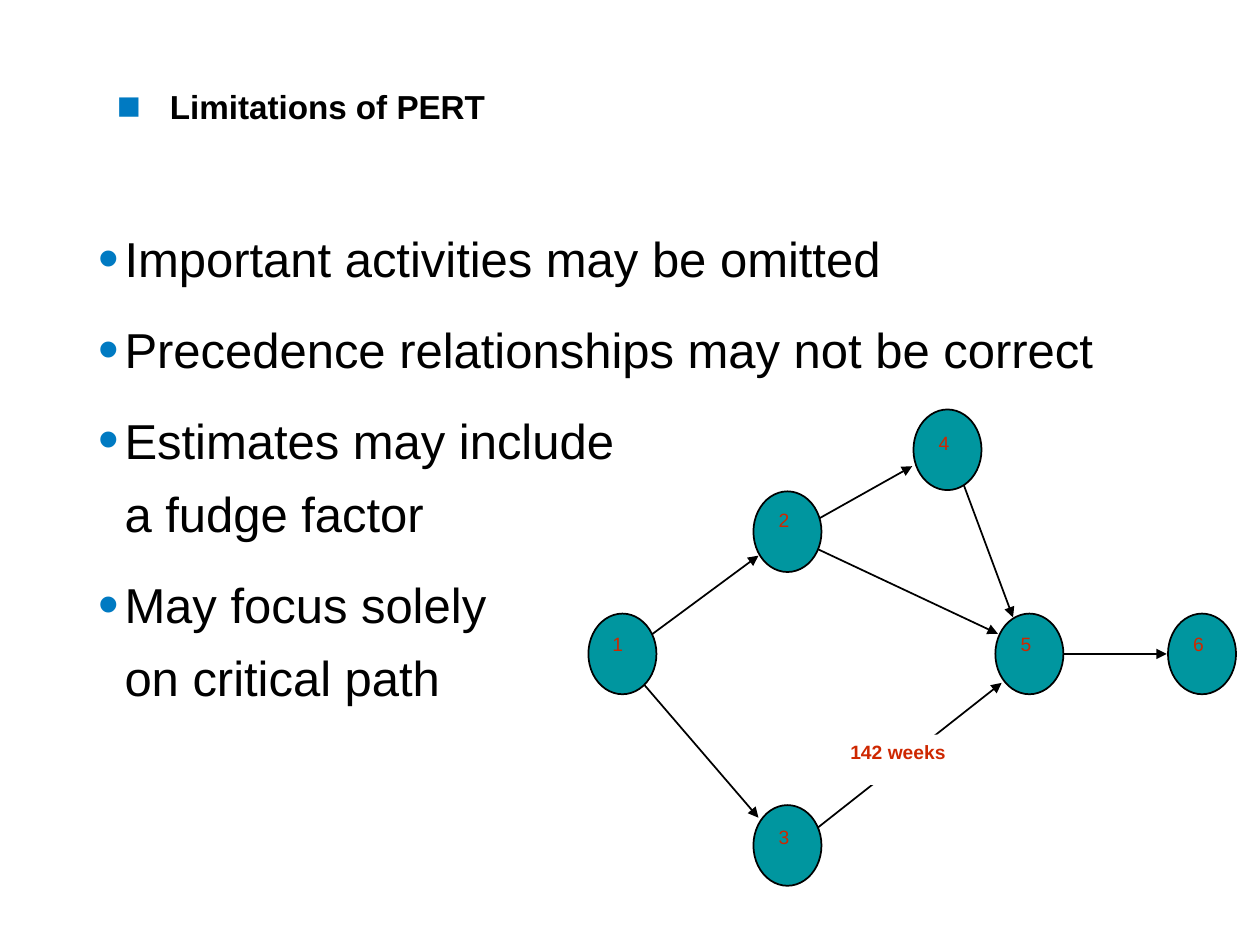
from lxml import etree
from pptx import Presentation
from pptx import util as u
from pptx.dml.color import RGBColor
from pptx.enum import shapes, text
from pptx.oxml.ns import qn

COLOURS = {"ink": "000000", "bullet": "007AC2", "node": "00969F",
           "label": "CE2700", "paper": "FFFFFF"}
FONT = "Arial"
NODE_SIZE = (0.54, 0.64)
# Left and top of each event, relative to the network
NODES = {"1": (0, 1.62), "2": (1.31, 0.65), "3": (1.31, 3.14),
         "4": (2.58, 0), "5": (3.23, 1.62), "6": (4.6, 1.62)}
# Offset of each event's number from its ellipse
LABEL_OFFSETS = {"1": (0.11, 0.11), "2": (0.12, 0.09), "3": (0.12, 0.12),
                 "4": (0.12, 0.13), "5": (0.12, 0.11), "6": (0.12, 0.11)}
# Start and end of each activity, relative to the network
ACTIVITIES = [((2.89, 0.36), (3.37, 1.65)),
              ((1.59, 1), (3.25, 1.78)),
              ((3.49, 1.94), (4.59, 1.94)),
              ((1.59, 3.5), (3.28, 2.17)),
              ((0.25, 1.96), (1.35, 3.24)),
              ((1.59, 1), (2.57, 0.45)),
              ((0.28, 1.95), (1.35, 1.16))]


def colour(name):
    return RGBColor.from_string(COLOURS[name])


def add_bullet(para, char, indent):
    props = para._p.get_or_add_pPr()
    props.set("marL", str(u.Inches(indent)))
    props.set("indent", str(-u.Inches(indent)))
    tint = etree.SubElement(props, qn("a:buClr"))
    etree.SubElement(tint, qn("a:srgbClr"), val=COLOURS["bullet"])
    etree.SubElement(props, qn("a:buSzPct"), val="120000")
    etree.SubElement(props, qn("a:buFont"), typeface=FONT)
    etree.SubElement(props, qn("a:buChar"), char=char)


def write(shape, paragraphs, size, ink="ink", bold=False, bullet=None, indent=0,
          spacing=None, before=0, anchor=text.MSO_ANCHOR.TOP, insets=(0.1, 0.05)):
    frame = shape.text_frame
    frame.word_wrap = True
    frame.vertical_anchor = anchor
    frame.margin_left = frame.margin_right = u.Inches(insets[0])
    frame.margin_top = frame.margin_bottom = u.Inches(insets[1])
    for number, words in enumerate(paragraphs):
        para = frame.add_paragraph() if number else frame.paragraphs[0]
        para.text = words
        para.alignment = text.PP_ALIGN.LEFT
        if spacing:
            para.line_spacing = spacing
        if number:
            para.space_before = u.Pt(before)
        if bullet:
            add_bullet(para, bullet, indent)
        for span in para.runs:
            span.font.name = FONT
            span.font.size = u.Pt(size)
            span.font.bold = bold
            span.font.color.rgb = colour(ink)


def add_text(page, box, paragraphs, **style):
    write(page.shapes.add_textbox(*map(u.Inches, box)), paragraphs, **style)


def add_filled(page, kind, box, fill, outline=None):
    shape = page.shapes.add_shape(kind, *map(u.Inches, box))
    shape.shadow.inherit = False
    shape.fill.solid()
    shape.fill.fore_color.rgb = colour(fill)
    if outline:
        shape.line.color.rgb = colour(outline)
        shape.line.width = u.Pt(1)
    else:
        shape.line.fill.background()
    return shape


def add_arrow(page, start, end):
    arrow = page.shapes.add_connector(shapes.MSO_CONNECTOR.STRAIGHT,
                                      *map(u.Inches, (*start, *end)))
    arrow.line.color.rgb = colour("ink")
    arrow.line.width = u.Pt(1)
    etree.SubElement(arrow.line._get_or_add_ln(), qn("a:tailEnd"), type="triangle")
    etree.SubElement(arrow._element.spPr, qn("a:effectLst"))


def add_title(page, box):
    add_text(page, box, ["Limitations of PERT"], size=19, bold=True, bullet="■",
             indent=0.42, anchor=text.MSO_ANCHOR.BOTTOM)


def add_limitations(page, box):
    add_text(page, box,
             ["Important activities may be omitted",
              "Precedence relationships may not be correct",
              "Estimates may include \va fudge factor",
              "May focus solely\von critical path"],
             size=28, bullet="•", indent=0.21, spacing=1.25, before=9.8)


def add_network(page, left, top):
    """Draw the activities, the numbered events and the duration."""
    def place(point):
        return left + point[0], top + point[1]

    for start, end in ACTIVITIES:
        add_arrow(page, place(start), place(end))
    for point in NODES.values():
        add_filled(page, shapes.MSO_SHAPE.OVAL, (*place(point), *NODE_SIZE),
                   "node", "ink")
    for number, (x, y) in NODES.items():
        shift_x, shift_y = LABEL_OFFSETS[number]
        add_text(page, (*place((x + shift_x, y + shift_y)), 0.29, 0.38), [number],
                 size=11, ink="label", insets=(0.08, 0.04))
    duration = add_filled(page, shapes.MSO_SHAPE.RECTANGLE,
                          (*place((1.98, 2.58)), 1.43, 0.4), "paper")
    write(duration, ["142 weeks"], size=11, ink="label", bold=True)


def main():
    deck = Presentation()
    deck.slide_width, deck.slide_height = u.Inches(10), u.Inches(7.5)
    page = deck.slides.add_slide(deck.slide_layouts[6])
    add_title(page, (0.83, 0.17, 8.15, 0.88))
    add_limitations(page, (0.68, 1.65, 8.28, 4.68))
    add_network(page, 4.67, 3.25)
    deck.save("out.pptx")


if __name__ == "__main__":
    main()
